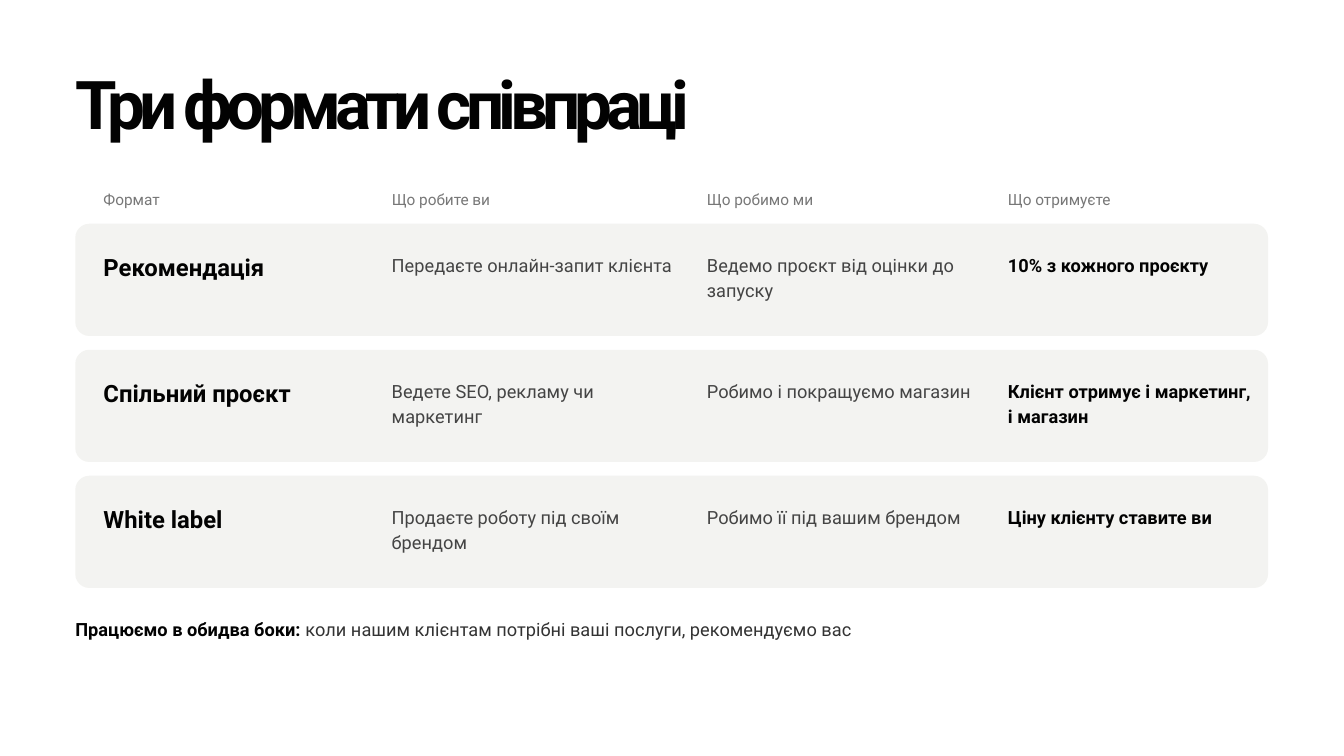
from pptx import Presentation
from pptx.dml.color import RGBColor
from pptx.enum import shapes, text
from pptx.util import Inches, Pt

FONT = "Roboto"
COLORS = {
    "ink": "020202",
    "body": "444444",
    "note": "333333",
    "head": "777777",
    "card": "F3F3F1",
}

# Format values: font settings and line pitch in points
TITLE = {"size": 72, "color": "ink", "bold": True, "pitch": 72}
HEAD = {"size": 16.5, "color": "head", "bold": False, "pitch": 21}
NAME = {"size": 25.5, "color": "ink", "bold": True, "pitch": 31.5}
BODY = {"size": 19.5, "color": "body", "bold": False, "pitch": 26.2}
GAIN = {**BODY, "color": "ink", "bold": True}
NOTE = {**BODY, "color": "note"}

# Columns: heading, left, heading width, cell width, cell style
COLS = [
    ("Формат", 1.54, 0.94, 4.08, NAME),
    ("Що робите ви", 5.83, 1.59, 4.4, BODY),
    ("Що робимо ми", 10.52, 1.68, 4.29, BODY),
    ("Що отримуєте", 15, 1.64, 3.67, GAIN),
]
ROWS = [
    ("Рекомендація", "Передаєте онлайн-запит клієнта",
     "Ведемо проєкт від оцінки до запуску", "10% з кожного проєкту"),
    ("Спільний проєкт", "Ведете SEO, рекламу чи маркетинг",
     "Робимо і покращуємо магазин", "Клієнт отримує і маркетинг, і магазин"),
    ("White label", "Продаєте роботу під своїм брендом",
     "Робимо її під вашим брендом", "Ціну клієнту ставите ви"),
]

LEFT, WIDE = 1.12, 17.88
TOP, STEP = 3.33, 1.875
CARD_W, CARD_H, PAD = 17.75, 1.67, 0.42
LINE_MAX = 31  # characters that fit on one line of a cell


def rgb(name):
    return RGBColor.from_string(COLORS[name])


def add_text(slide, x, y, w, runs, lines=1):
    """Place one paragraph made of (text, style) runs."""
    pitch = runs[0][1]["pitch"]
    box = slide.shapes.add_textbox(
        Inches(x), Inches(y), Inches(w), Pt(pitch * lines))
    frame = box.text_frame
    frame.word_wrap = True
    frame.auto_size = text.MSO_AUTO_SIZE.SHAPE_TO_FIT_TEXT
    for side in ("left", "top", "right", "bottom"):
        setattr(frame, f"margin_{side}", 0)
    para = frame.paragraphs[0]
    para.line_spacing = Pt(pitch)
    for words, style in runs:
        run = para.add_run()
        run.text = words
        values = {"name": FONT, "size": Pt(style["size"]), "bold": style["bold"]}
        for key, value in values.items():
            setattr(run.font, key, value)
        run.font.color.rgb = rgb(style["color"])
    return para


def add_title(slide, words):
    para = add_text(slide, LEFT, 1.12, WIDE, [(words, TITLE)])
    # Tight letter spacing, in hundredths of a point
    para.runs[0].font._element.set("spc", "-630")


def add_card(slide, y):
    card = slide.shapes.add_shape(
        shapes.MSO_SHAPE.ROUNDED_RECTANGLE,
        Inches(LEFT), Inches(y), Inches(CARD_W), Inches(CARD_H))
    card.adjustments[0] = 0.125
    card.shadow.inherit = False
    card.fill.solid()
    card.fill.fore_color.rgb = rgb("card")
    card.line.fill.background()


def add_row(slide, y, cells):
    add_card(slide, y)
    for words, (_, x, _, w, style) in zip(cells, COLS):
        lines = 2 if len(words) > LINE_MAX else 1
        add_text(slide, x, y + PAD, w, [(words, style)], lines)


def main():
    deck = Presentation()
    deck.slide_width, deck.slide_height = Inches(20), Inches(11.25)
    slide = deck.slides.add_slide(deck.slide_layouts[6])

    # Title and column headings
    add_title(slide, "Три формати співпраці")
    for words, x, w, _, _ in COLS:
        add_text(slide, x, 2.81, w, [(words, HEAD)])

    # One card for each format
    for i, cells in enumerate(ROWS):
        add_row(slide, TOP + i * STEP, cells)

    # Closing line
    add_text(slide, LEFT, 9.17, WIDE, [
        ("Працюємо в обидва боки:", GAIN),
        (" коли нашим клієнтам потрібні ваші послуги, рекомендуємо вас", NOTE),
    ])

    deck.save("out.pptx")


if __name__ == "__main__":
    main()
